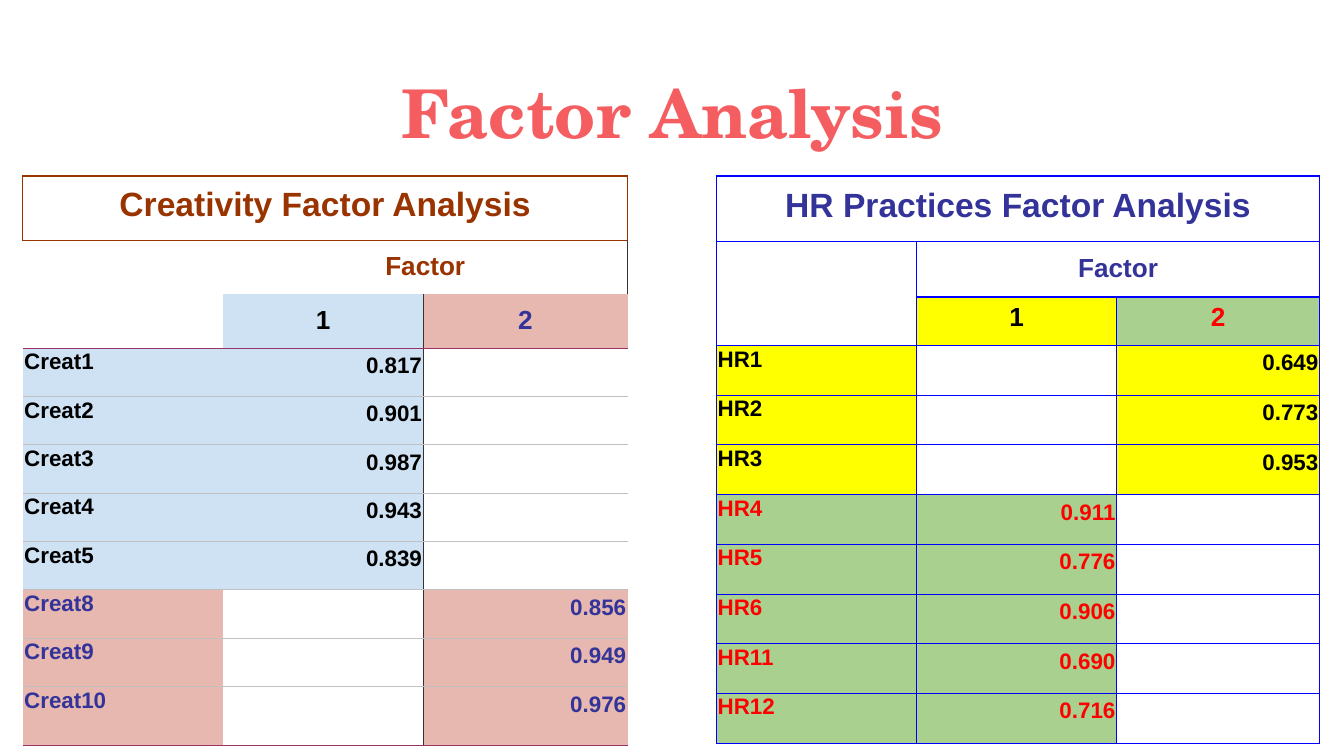
from lxml import etree
from pptx import Presentation
from pptx import util as u
from pptx.dml.color import RGBColor
from pptx.enum import text as t
from pptx.oxml import ns

HUES = {
    "coral": "F55E61", "brown": "993300", "plum": "993366", "dark": "333333",
    "gray": "C0C0C0", "blue": "0000FF", "navy": "333399", "black": "000000",
    "red": "FF0000", "sky": "CFE2F3", "rose": "E6B8AF", "yellow": "FFFF00",
    "green": "A9D08E",
}
PLAIN = "{2D5ABB26-0587-4C30-8999-92F81FD0307C}"  # style with no fill and no grid
BROWN, PLUM, DARK, GRAY = ("brown", 0.75), ("plum", 0.5), ("dark", 0.5), ("gray", 0.5)
BLUE, THIN = ("blue", 0.75), ("blue", 0.5)

CREAT = {
    "title": "Creativity Factor Analysis",
    "ink": "brown",
    "left": 0.17,
    "cols": [1.49, 1.49, 1.52],
    "rows": [0.48, 0.4, 0.4] + [0.36] * 7 + [0.44],
    "heads": [("sky", "black"), ("rose", "navy")],
    "marks": {1: ("sky", "black"), 2: ("rose", "navy")},
    "items": [
        ("Creat1", "0.817", 1), ("Creat2", "0.901", 1), ("Creat3", "0.987", 1),
        ("Creat4", "0.943", 1), ("Creat5", "0.839", 1), ("Creat8", "0.856", 2),
        ("Creat9", "0.949", 2), ("Creat10", "0.976", 2),
    ],
    # horizontal rules from top to bottom, then vertical rules per kind of row
    "across": [BROWN, BROWN, None, PLUM] + [GRAY] * 7 + [PLUM],
    "down": [[BROWN, None, None, BROWN], [None, None, None, DARK],
             [None, None, DARK, None]],
}
HR = {
    "title": "HR Practices Factor Analysis",
    "ink": "navy",
    "left": 5.33,
    "cols": [1.49, 1.49, 1.51],
    "rows": [0.49, 0.41, 0.36] + [0.37] * 8,
    "heads": [("yellow", "black"), ("green", "red")],
    "marks": {1: ("green", "red"), 2: ("yellow", "black")},
    "items": [
        ("HR1", "0.649", 2), ("HR2", "0.773", 2), ("HR3", "0.953", 2),
        ("HR4", "0.911", 1), ("HR5", "0.776", 1), ("HR6", "0.906", 1),
        ("HR11", "0.690", 1), ("HR12", "0.716", 1),
    ],
    "across": [BLUE] * 3 + [THIN] * 9,
    "down": [[BLUE] * 4, [BLUE] * 4, [BLUE, BLUE, THIN, BLUE]],
}


def write(frame, words, size=12, hue="black", font="Arial", align="LEFT", space=None):
    para = frame.paragraphs[0]
    para.alignment = getattr(t.PP_ALIGN, align)
    para.line_spacing = space
    run = para.add_run()
    run.text = words
    run.font.size = u.Pt(size)
    run.font.name = font
    run.font.bold = True
    run.font.color.rgb = RGBColor.from_string(HUES[hue])


def rule(cell, side, line):
    """Draw one border of a cell, or none when line is None."""
    edge = etree.SubElement(cell._tc.get_or_add_tcPr(), ns.qn("a:ln" + side))
    if line is None:
        etree.SubElement(edge, ns.qn("a:noFill"))
        return
    hue, width = line
    edge.set("w", str(u.Pt(width)))
    fill = etree.SubElement(edge, ns.qn("a:solidFill"))
    etree.SubElement(fill, ns.qn("a:srgbClr"), val=HUES[hue])


def frame_cells(table, data):
    """Set margins and borders, following merged spans."""
    for r in range(len(data["rows"])):
        down = data["down"][min(r, 2)]
        for c in range(len(data["cols"])):
            cell = table.cell(r, c)
            cell.margin_left = cell.margin_right = u.Inches(0.01)
            cell.margin_top = cell.margin_bottom = u.Inches(0.01)
            if not cell.is_spanned:
                rule(cell, "L", down[c])
                rule(cell, "R", down[c + cell.span_width])
                rule(cell, "T", data["across"][r])
                rule(cell, "B", data["across"][r + cell.span_height])
            cell.fill.background()


def put(cell, words, fill=None, anchor="TOP", **form):
    cell.margin_bottom = u.Inches(0.1)
    cell.vertical_anchor = getattr(t.MSO_ANCHOR, anchor)
    if fill:
        cell.fill.solid()
        cell.fill.fore_color.rgb = RGBColor.from_string(HUES[fill])
    write(cell.text_frame, words, **form)


def add_grid(slide, data):
    cols, rows = data["cols"], data["rows"]
    shape = slide.shapes.add_table(
        len(rows), len(cols), u.Inches(data["left"]), u.Inches(1.31),
        u.Inches(sum(cols)), u.Inches(sum(rows)))
    table = shape.table
    table.first_row = table.horz_banding = False
    table._tbl.tblPr.find(ns.qn("a:tableStyleId")).text = PLAIN
    for col, width in zip(table.columns, cols):
        col.width = u.Inches(width)
    for row, height in zip(table.rows, rows):
        row.height = u.Inches(height)
    shape.width = shape.height = u.Inches(3.28)
    table.cell(0, 0).merge(table.cell(0, 2))
    table.cell(1, 0).merge(table.cell(2, 0))
    table.cell(1, 1).merge(table.cell(1, 2))
    frame_cells(table, data)

    head = {"align": "CENTER", "space": 1.15}
    put(table.cell(0, 0), data["title"], anchor="MIDDLE", size=18, hue=data["ink"], **head)
    put(table.cell(1, 1), "Factor", anchor="BOTTOM", size=14, hue=data["ink"], **head)
    for c, (fill, ink) in enumerate(data["heads"], 1):
        put(table.cell(2, c), str(c), fill, "BOTTOM", size=14, hue=ink, **head)
    for r, (name, load, factor) in enumerate(data["items"], 3):
        fill, ink = data["marks"][factor]
        put(table.cell(r, 0), name, fill, hue=ink)
        put(table.cell(r, factor), load, fill, hue=ink, align="RIGHT", space=1.15)


def add_title(slide, words):
    title = slide.shapes.title
    title.left, title.top = u.Inches(0.34), u.Inches(0.43)
    title.width, title.height = u.Inches(9.32), u.Inches(0.68)
    frame = title.text_frame
    frame.margin_left = frame.margin_right = u.Inches(0.1)
    frame.margin_top = frame.margin_bottom = u.Inches(0.1)
    frame.word_wrap = True
    frame.auto_size = t.MSO_AUTO_SIZE.NONE
    frame.vertical_anchor = t.MSO_ANCHOR.TOP
    write(frame, words, size=36, hue="coral", font="TeX Gyre Schola", align="CENTER")


def main():
    deck = Presentation()
    deck.slide_width, deck.slide_height = u.Inches(10), u.Inches(10 * 9 / 16)
    slide = deck.slides.add_slide(deck.slide_layouts[5])
    add_title(slide, "Factor Analysis")
    for data in (CREAT, HR):
        add_grid(slide, data)
    deck.save("out.pptx")


if __name__ == "__main__":
    main()
